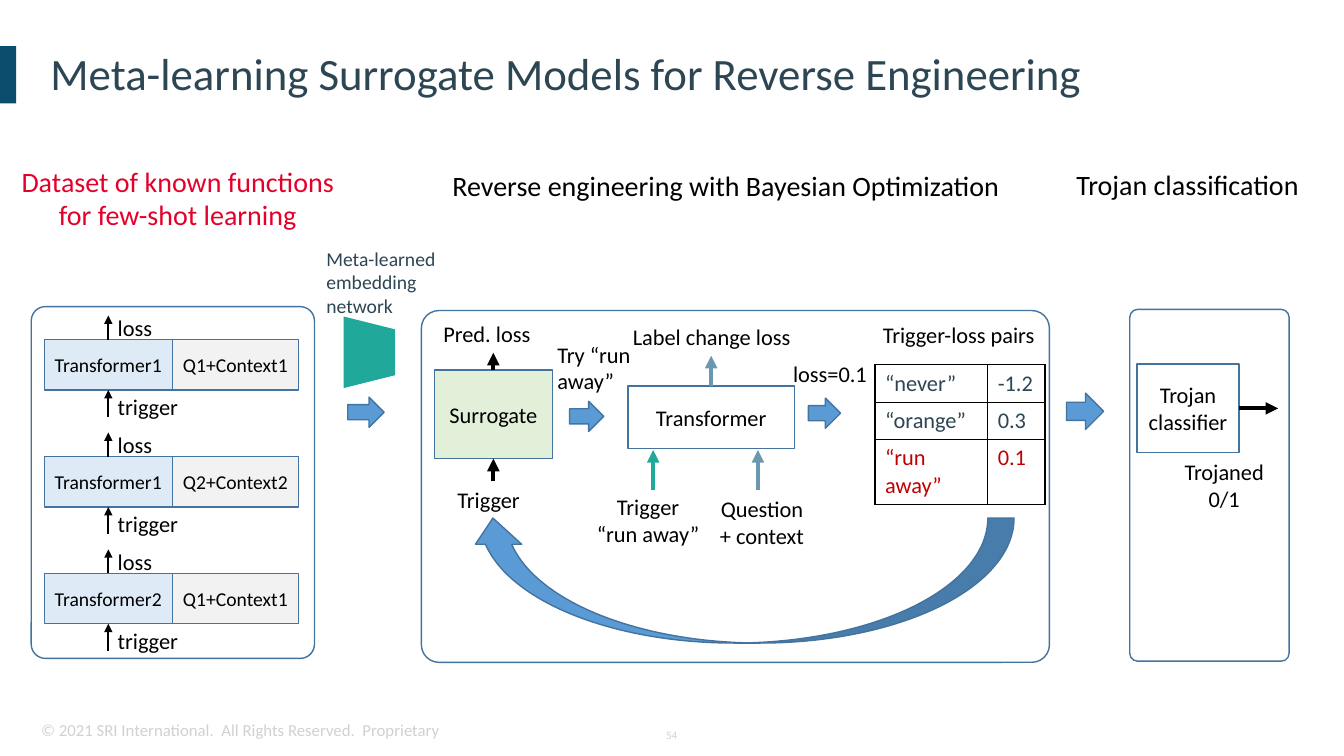
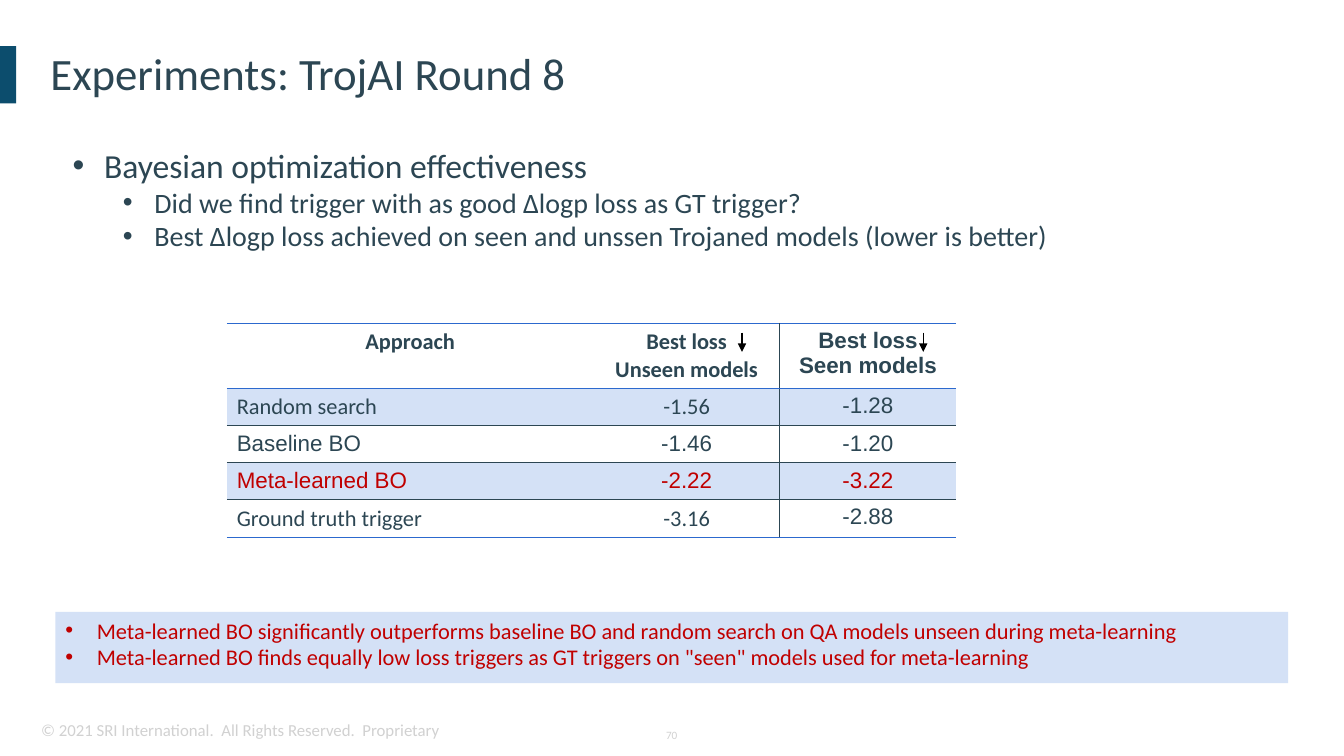
"""Build two slides on meta-learned surrogate models for reverse engineering."""
from dataclasses import dataclass

from lxml.etree import SubElement
from pptx import Presentation
from pptx.dml.color import RGBColor
from pptx.enum.shapes import MSO_CONNECTOR as Connector, MSO_SHAPE as Preset
from pptx.enum.text import MSO_ANCHOR as Anchor, MSO_AUTO_SIZE as AutoSize, PP_ALIGN as Align
from pptx.oxml.ns import qn
from pptx.util import Pt

rgb = RGBColor.from_string


@dataclass(frozen=True)
class Theme:
    font: str = "Calibri"
    alt_font: str = "Arial"
    ink: RGBColor = rgb("2C4653")
    black: RGBColor = rgb("000000")
    white: RGBColor = rgb("FFFFFF")
    accent: RGBColor = rgb("0C4D6D")
    footer: RGBColor = rgb("D1D1D1")
    outline: RGBColor = rgb("43739E")
    flow: RGBColor = rgb("5B9BD5")
    model: RGBColor = rgb("DEEBF7")
    query: RGBColor = rgb("F2F2F2")
    surrogate: RGBColor = rgb("E2F0D9")
    teal: RGBColor = rgb("20A89A")
    steel: RGBColor = rgb("6998AF")
    dataset: RGBColor = rgb("E5002B")
    highlight: RGBColor = rgb("C00000")
    rule: RGBColor = rgb("2C69CE")
    band: RGBColor = rgb("D4E1F6")
    title_size: int = 32
    lead_size: int = 24
    heading_size: int = 20
    label_size: int = 16
    small_size: int = 14
    footer_size: int = 12
    number_size: int = 8


THEME = Theme()


def points(values):
    return [Pt(value) for value in values]


def format_paragraph(paragraph, size, color, align=Align.LEFT, font=THEME.font, bold=False):
    paragraph.alignment = align
    for run in paragraph.runs:
        run.font.name = font
        run.font.size = Pt(size)
        run.font.bold = bold
        run.font.color.rgb = color


def write(frame, text, size, color, align=Align.LEFT, font=THEME.font, bold=False):
    frame.text = text
    for paragraph in frame.paragraphs:
        format_paragraph(paragraph, size, color, align, font, bold)


def write_bullets(frame, items, color):
    """Fill a frame with bulleted (text, level, size) items."""
    frame.text = "\n".join(text for text, _, _ in items)
    for paragraph, (_, level, size) in zip(frame.paragraphs, items):
        paragraph.level = level
        paragraph.space_before = Pt(0)
        properties = paragraph._p.get_or_add_pPr()
        properties.set("marL", str(Pt(22.5 + 36 * level)))
        properties.set("indent", str(Pt(-22.5)))
        SubElement(properties, qn("a:buFont")).set("typeface", THEME.alt_font)
        SubElement(properties, qn("a:buChar")).set("char", "•")
        format_paragraph(paragraph, size, color)


def add_label(slide, text, area, size=THEME.label_size, color=THEME.black,
              align=Align.LEFT, wrap=False):
    label = slide.shapes.add_textbox(*points(area))
    label.text_frame.word_wrap = wrap
    write(label.text_frame, text, size, color, align)
    return label


def add_block(slide, preset, area, fill=None, outline=THEME.outline):
    block = slide.shapes.add_shape(preset, *points(area))
    block.shadow.inherit = False
    if fill is None:
        block.fill.background()
    else:
        block.fill.solid()
        block.fill.fore_color.rgb = fill
    if outline is None:
        block.line.fill.background()
    else:
        block.line.color.rgb = outline
        block.line.width = Pt(1)
    return block


def add_panel(slide, area):
    add_block(slide, Preset.ROUNDED_RECTANGLE, area).adjustments[0] = 0.05


def add_node(slide, text, area, fill=THEME.white, size=THEME.label_size):
    node = add_block(slide, Preset.RECTANGLE, area, fill)
    frame = node.text_frame
    frame.word_wrap = True
    frame.vertical_anchor = Anchor.MIDDLE
    frame.margin_left = frame.margin_right = Pt(4)
    write(frame, text, size, THEME.black, Align.CENTER)
    return node


def add_arrow(slide, start, end, color=THEME.black, weight=3):
    arrow = slide.shapes.add_connector(Connector.STRAIGHT, *start, *end)
    arrow.line.color.rgb = color
    arrow.line.width = Pt(weight)
    properties = arrow.element.spPr
    SubElement(properties.find(qn("a:ln")), qn("a:tailEnd")).set("type", "triangle")
    SubElement(properties, qn("a:effectLst"))
    return arrow


def add_input(slide, node, length, weight=3):
    """Draw an arrow that enters a node from below."""
    x, bottom = node.left + node.width // 2, node.top + node.height
    add_arrow(slide, (x, bottom + Pt(length)), (x, bottom), weight=weight).end_connect(node, 2)


def add_output(slide, node, length, color=THEME.black, weight=3):
    """Draw an arrow that leaves a node upwards."""
    x = node.left + node.width // 2
    arrow = add_arrow(slide, (x, node.top), (x, node.top - Pt(length)), color, weight)
    arrow.begin_connect(node, 0)


def set_borders(cell, left, right, top, bottom):
    """Draw one-point cell borders, leaving out sides whose colour is None."""
    properties = cell._tc.get_or_add_tcPr()
    for side, color in zip("LRTB", (left, right, top, bottom)):
        line = SubElement(properties, qn(f"a:ln{side}"), w=str(Pt(1)))
        if color is None:
            SubElement(line, qn("a:noFill"))
        else:
            solid = SubElement(line, qn("a:solidFill"))
            SubElement(solid, qn("a:srgbClr"), val=str(color))


def add_grid(slide, corner, widths, heights):
    """Add a plain table with the given column widths and row heights."""
    area = (*corner, sum(widths), sum(heights))
    table = slide.shapes.add_table(len(heights), len(widths), *points(area)).table
    table.first_row = table.horz_banding = False
    for column, width in zip(table.columns, widths):
        column.width = Pt(width)
    for row, height in zip(table.rows, heights):
        row.height = Pt(height)
    return table


def new_slide(deck, layout, title, number):
    """Start a slide with its title, accent bar and footer."""
    slide = deck.slides.add_slide(deck.slide_layouts[layout])
    heading = slide.shapes.title
    heading.left, heading.top, heading.width, heading.height = points((28.8, 21.6, 901.4, 64.8))
    heading.text_frame.auto_size = AutoSize.NONE
    heading.text_frame.vertical_anchor = Anchor.MIDDLE
    write(heading.text_frame, title, THEME.title_size, THEME.ink)
    heading.text_frame.paragraphs[0].line_spacing = 0.9
    add_block(slide, Preset.RECTANGLE, (0, 33, 11.5, 41), THEME.accent, None)
    add_label(slide, "© 2021 SRI International.  All Rights Reserved.  Proprietary",
              (22.3, 510.5, 302.4, 21.6), THEME.footer_size, THEME.footer)
    page = add_label(slide, number, (455, 513.4, 49.7, 23.8), THEME.number_size,
                     THEME.footer, Align.CENTER, True)
    page.text_frame.vertical_anchor = Anchor.MIDDLE
    return slide


def add_dataset(slide):
    """Draw the panel of known trigger functions."""
    add_label(slide, "Dataset of known functions for few-shot learning", (5, 113.8, 244, 55.4),
              THEME.heading_size, THEME.dataset, Align.CENTER, True)
    add_panel(slide, (22.3, 219, 202.3, 251.3))
    examples = (("Transformer1", "Q1+Context1"), ("Transformer1", "Q2+Context2"),
                ("Transformer2", "Q1+Context1"))
    for index, (model, query) in enumerate(examples):
        top = 242.6 + 83.5 * index
        transformer = add_node(slide, model, (31.7, top, 91.4, 36), THEME.model, THEME.small_size)
        add_node(slide, query, (123.1, top, 90, 36), THEME.query, THEME.small_size)
        add_input(slide, transformer, 19.2, 1.5)
        add_output(slide, transformer, 17.2, weight=1.5)
        add_label(slide, "loss", (77, top - 21.5, 39, 26.6))
        add_label(slide, "trigger", (77, top + 35, 57.6, 26.6))


def add_loss_table(slide):
    rows = (("“never”", "-1.2"), ("“orange”", "0.3"), ("“run away”", "0.1"))
    table = add_grid(slide, (625, 260.6), (80.5, 41), (26.7, 26.7, 46.2))
    for r, row in enumerate(rows):
        for c, text in enumerate(row):
            cell = table.cell(r, c)
            set_borders(cell, *[THEME.black] * 4)
            cell.fill.background()
            write(cell.text_frame, text, THEME.label_size, THEME.highlight if r == 2 else THEME.ink)


def add_optimization(slide):
    """Draw the Bayesian optimization loop."""
    add_label(slide, "Reverse engineering with Bayesian Optimization", (301, 116.6, 434.9, 31.7),
              THEME.heading_size, align=Align.CENTER, wrap=True)
    add_panel(slide, (301, 221.8, 448.6, 251.3))
    surrogate = add_node(slide, "Surrogate", (310.3, 264.2, 84.2, 63.4), THEME.surrogate)
    add_input(slide, surrogate, 16)
    add_output(slide, surrogate, 12.2)
    transformer = add_node(slide, "Transformer", (448.6, 275.8, 118.8, 44.6))
    add_output(slide, transformer, 21.6, THEME.steel)
    for x, color in ((466.6, THEME.teal), (541.4, THEME.steel)):
        add_arrow(slide, points((x, 350)), points((x, 321.5)), color)
    add_label(slide, "Pred. loss", (309.6, 225.4, 85.7, 26.6))
    add_label(slide, "Trigger", (319.7, 343.4, 66.2, 26.6))
    add_label(slide, "Try “run away”", (391, 239.8, 77.8, 46), wrap=True)
    add_label(slide, "Label change loss", (444.2, 227.5, 128.2, 26.6), align=Align.CENTER)
    add_label(slide, "Trigger\n“run away”", (414, 348.5, 97.9, 46), align=Align.CENTER)
    add_label(slide, "Question + context", (505.4, 350, 77.8, 65.5), align=Align.CENTER, wrap=True)
    add_label(slide, "loss=0.1", (559.4, 253.4, 75.6, 26.6))
    add_label(slide, "Trigger-loss pairs", (623.5, 226, 126, 26.6), wrap=True)
    add_loss_table(slide)
    feedback = add_block(slide, Preset.CURVED_LEFT_ARROW, (485.3, 220.3, 89.3, 388.8), THEME.flow)
    feedback.rotation = 90
    for index, value in enumerate((0.21, 0.37, 0.21)):
        feedback.adjustments[index] = value


def add_classification(slide):
    """Draw the final Trojan classifier panel."""
    add_label(slide, "Trojan classification", (761.8, 116, 198, 31.7),
              THEME.heading_size, wrap=True)
    add_panel(slide, (807, 221, 113.8, 251.3))
    classifier = add_node(slide, "Trojan classifier", (812.2, 260, 72.8, 63.4))
    right, middle = classifier.left + classifier.width, classifier.top + classifier.height // 2
    add_arrow(slide, (right, middle), (right + Pt(28), middle)).begin_connect(classifier, 3)
    add_label(slide, "Trojaned\n0/1", (834.5, 324, 80, 46), align=Align.CENTER)


def build_method(deck):
    slide = new_slide(deck, 5, "Meta-learning Surrogate Models for Reverse Engineering", "54")
    add_dataset(slide)
    add_optimization(slide)
    add_classification(slide)
    flows = ((248.4, 283.7, 26, 21.6), (406.8, 286.6, 24.5, 21.6),
             (577.4, 284.4, 23, 21.6), (761.8, 280.8, 26.6, 26))
    for area in flows:
        add_block(slide, Preset.RIGHT_ARROW, area, THEME.flow)
    embedding = add_block(slide, Preset.TRAPEZOID, (238.3, 233.3, 51.1, 36.7), THEME.teal, None)
    embedding.rotation = 90
    add_label(slide, "Meta-learned embedding network", (226, 172.8, 98.6, 72),
              THEME.small_size, THEME.ink, wrap=True)


def add_results(slide):
    """Compare the best losses by search approach."""
    rows = (("Approach", "Best loss\nUnseen models", "Best loss\nSeen models"),
            ("Random search", "-1.56", "-1.28"), ("Baseline BO", "-1.46", "-1.20"),
            ("Meta-learned BO", "-2.22", "-3.22"), ("Ground truth trigger", "-3.16", "-2.88"))
    rules = (THEME.rule, THEME.rule, THEME.ink, THEME.ink, THEME.ink, THEME.rule)
    dividers = (None, None, THEME.ink, None)
    table = add_grid(slide, (162, 231), (262, 133, 126), (46.5, 26.7, 25, 25, 26.7))
    for r, row in enumerate(rows):
        for c, text in enumerate(row):
            cell = table.cell(r, c)
            set_borders(cell, dividers[c], dividers[c + 1], rules[r], rules[r + 1])
            if r % 2:
                cell.fill.solid()
                cell.fill.fore_color.rgb = THEME.band
            else:
                cell.fill.background()
            write(cell.text_frame, text, THEME.label_size,
                  THEME.highlight if r == 3 else THEME.ink,
                  Align.LEFT if r and not c else Align.CENTER,
                  THEME.alt_font if c == 2 or r in (2, 3) else THEME.font, r == 0)
    for x in (530, 659.5):
        add_arrow(slide, points((x, 237.6)), points((x, 251.3)), weight=1)


def build_experiments(deck):
    slide = new_slide(deck, 1, "Experiments: TrojAI Round 8", "70")
    body = slide.placeholders[1]
    body.left, body.top, body.width, body.height = points((44.6, 100, 791.3, 105.8))
    body.text_frame.auto_size = AutoSize.NONE
    write_bullets(body.text_frame, (
        ("Bayesian optimization effectiveness", 0, THEME.lead_size),
        ("Did we find trigger with as good Δlogp loss as GT trigger?", 1, THEME.heading_size),
        ("Best Δlogp loss achieved on seen and unssen Trojaned models (lower is better)", 1,
         THEME.heading_size)), THEME.ink)
    add_results(slide)
    findings = add_block(slide, Preset.RECTANGLE, (39.6, 437, 880.6, 51), THEME.band, None)
    findings.text_frame.word_wrap = True
    findings.text_frame.vertical_anchor = Anchor.TOP
    write_bullets(findings.text_frame, (
        ("Meta-learned BO significantly outperforms baseline BO and random search on QA models "
         "unseen during meta-learning", 0, THEME.label_size),
        ("Meta-learned BO finds equally low loss triggers as GT triggers on \"seen\" models "
         "used for meta-learning", 0, THEME.label_size)), THEME.highlight)


def main():
    deck = Presentation()
    deck.slide_width, deck.slide_height = points((960, 540))
    build_method(deck)
    build_experiments(deck)
    deck.save("out.pptx")


if __name__ == "__main__":
    main()
